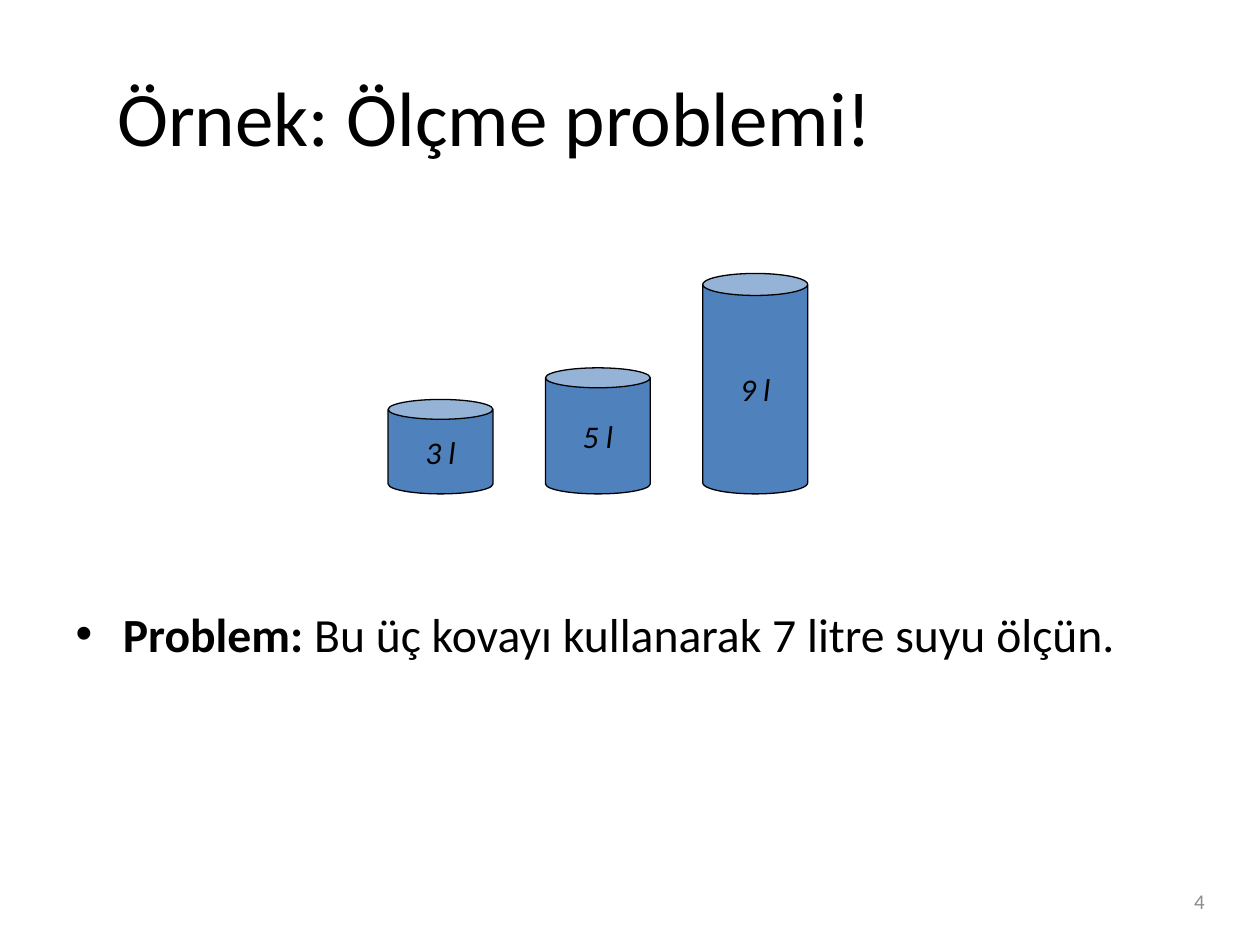
"""Build a slide that poses the measuring problem with three buckets."""
from dataclasses import dataclass

from pptx import Presentation
from pptx import util as u
from pptx.dml.color import RGBColor
from pptx.enum import shapes, text


@dataclass(frozen=True)
class Theme:
    """Hold the colours, font and type sizes."""
    font: str = "Calibri"
    ink: str = "000000"
    fill: str = "4F81BD"
    grey: str = "8C8C8C"
    title: float = 44
    body: float = 27.2
    label: float = 18
    small: float = 12


T = Theme()


def put(shape, box):
    """Move a shape to a box given in inches."""
    shape.left, shape.top, shape.width, shape.height = map(u.Inches, box)


def style(frame, size, align, color=T.ink):
    """Format every run and align every paragraph of a frame."""
    for para in frame.paragraphs:
        para.alignment = align
        for run in para.runs:
            run.font.name = T.font
            run.font.size = u.Pt(size)
            run.font.color.rgb = RGBColor.from_string(color)


def head(slide, box, words):
    """Fill the title placeholder."""
    title = slide.shapes.title
    put(title, box)
    frame = title.text_frame
    frame.text = words
    frame.auto_size = text.MSO_AUTO_SIZE.NONE
    frame.vertical_anchor = text.MSO_ANCHOR.MIDDLE
    style(frame, T.title, text.PP_ALIGN.LEFT)


def task(slide, box, lead, rest):
    """Fill the body placeholder with a bold lead and its sentence."""
    body = slide.placeholders[1]
    put(body, box)
    frame = body.text_frame
    frame.auto_size = text.MSO_AUTO_SIZE.NONE
    para = frame.paragraphs[0]
    for words, bold in ((lead, True), (rest, False)):
        run = para.add_run()
        run.text = words
        run.font.bold = bold
    style(frame, T.body, text.PP_ALIGN.LEFT)


def can(slide, box, words, rim):
    """Draw one labelled bucket."""
    shape = slide.shapes.add_shape(shapes.MSO_SHAPE.CAN, *map(u.Inches, box))
    shape.adjustments[0] = rim
    shape.shadow.inherit = False
    shape.fill.solid()
    shape.fill.fore_color.rgb = RGBColor.from_string(T.fill)
    shape.line.color.rgb = RGBColor.from_string(T.ink)
    shape.line.width = u.Pt(0.75)
    frame = shape.text_frame
    frame.text = words
    frame.word_wrap = False
    frame.vertical_anchor = text.MSO_ANCHOR.MIDDLE
    style(frame, T.label, text.PP_ALIGN.CENTER)
    frame.paragraphs[0].runs[0].font.italic = True


def row(slide, box, cans):
    """Stand buckets on the base of a box, with gaps of equal width."""
    left, top, width, height = box
    wide = width / (len(cans) * 1.5 - 0.5)
    for i, (words, tall, rim) in enumerate(cans):
        spot = (left + i * wide * 1.5, top + height - tall, wide, tall)
        can(slide, spot, words, rim)


def page(slide, box, words):
    """Write the slide number."""
    frame = slide.shapes.add_textbox(*map(u.Inches, box)).text_frame
    frame.word_wrap = True
    frame.text = words
    frame.vertical_anchor = text.MSO_ANCHOR.MIDDLE
    style(frame, T.small, text.PP_ALIGN.RIGHT, T.grey)


def main():
    """Build and save the slide."""
    deck = Presentation()
    deck.slide_width, deck.slide_height = u.Inches(10), u.Inches(7.5)
    slide = deck.slides.add_slide(deck.slide_layouts[1])
    page(slide, (7.33, 6.95, 2.33, 0.4), "4")
    head(slide, (0.83, 0.29, 8.83, 1.25), "Örnek: Ölçme problemi!")
    task(slide, (0.5, 4.75, 8.94, 0.75), "Problem:",
         " Bu üç kovayı kullanarak 7 litre suyu ölçün.")
    row(slide, (3.08, 2.17, 3.33, 1.75),
        (("3 l", 0.75, 0.21), ("5 l", 1, 0.19), ("9 l", 1.75, 0.21)))
    deck.save("out.pptx")


main()
